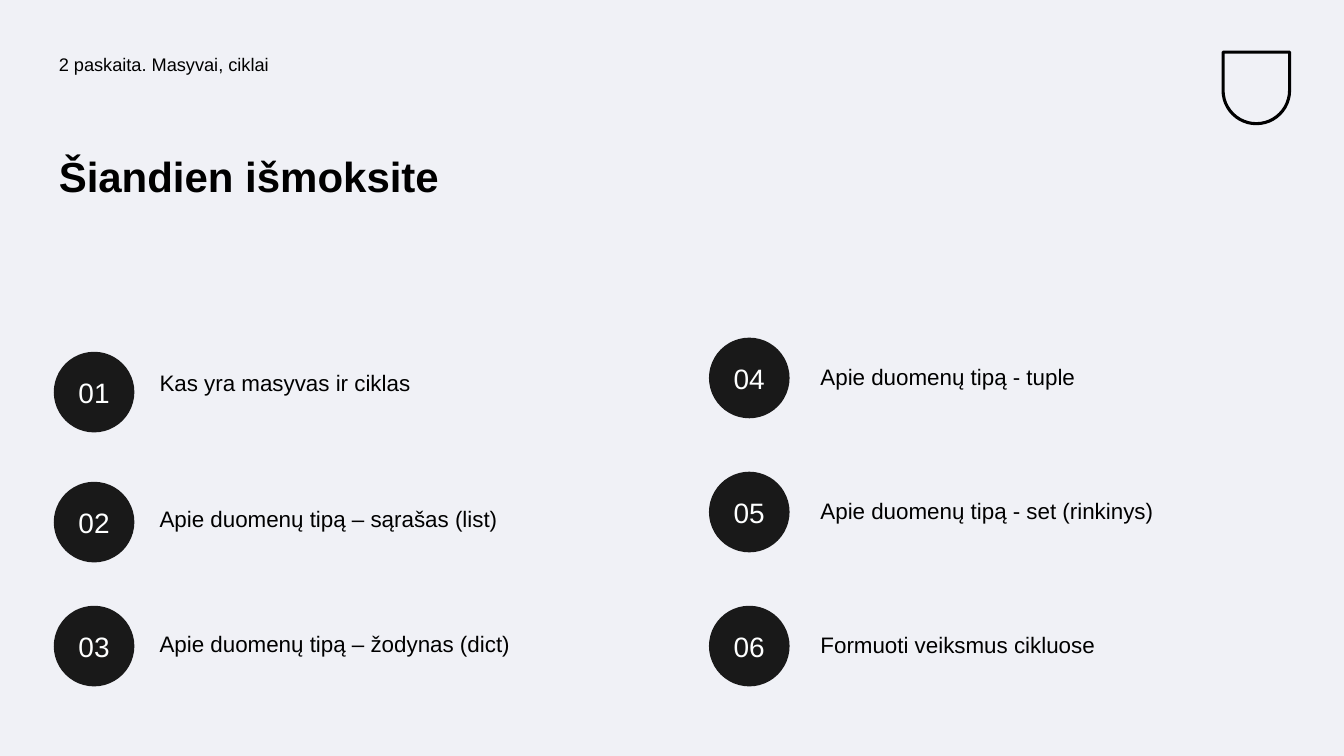
from pptx import Presentation
from pptx.dml.color import RGBColor
from pptx.enum.shapes import MSO_SHAPE
from pptx.enum.text import MSO_ANCHOR, MSO_AUTO_SIZE, PP_ALIGN
from pptx.util import Inches, Pt

PAPER = RGBColor(0xF0, 0xF1, 0xF6)
BLACK = RGBColor(0x00, 0x00, 0x00)
DARK = RGBColor(0x19, 0x19, 0x19)
WHITE = RGBColor(0xFE, 0xFF, 0xFF)

COLS, ROWS = 40, 22.5


class Page:
    """Style and current slide; lengths are in grid columns and rows."""

    font = "Arial"
    inset = Inches(0.05)

    def __init__(self, deck):
        self.col = deck.slide_width / COLS
        self.row = deck.slide_height / ROWS
        self.slide = deck.slides.add_slide(deck.slide_layouts[6])
        fill = self.slide.background.fill
        fill.solid()
        fill.fore_color.rgb = PAPER

    def box(self, x, y, w, h):
        return (round(x * self.col), round(y * self.row),
                round(w * self.col), round(h * self.row))

    def add_run(self, frame, words, size, color, bold=False):
        frame.margin_left = frame.margin_right = self.inset
        frame.margin_top = frame.margin_bottom = self.inset
        para = frame.paragraphs[0]
        run = para.add_run()
        run.text = words
        run.font.name = self.font
        run.font.size = Pt(size)
        run.font.bold = bold
        run.font.color.rgb = color
        return para

    def label(self, x, y, w, h, words, size, bold=False, before=10):
        frame = self.slide.shapes.add_textbox(*self.box(x, y, w, h)).text_frame
        frame.word_wrap = True
        frame.auto_size = MSO_AUTO_SIZE.SHAPE_TO_FIT_TEXT
        para = self.add_run(frame, words, size, BLACK, bold)
        para.line_spacing = 0.9
        para.space_before = Pt(before)

    def disc(self, x, y, size, words):
        shape = self.slide.shapes.add_shape(
            MSO_SHAPE.OVAL, *self.box(x, y, size, size))
        shape.shadow.inherit = False
        shape.fill.solid()
        shape.fill.fore_color.rgb = DARK
        shape.line.fill.background()
        frame = shape.text_frame
        frame.word_wrap = False
        frame.vertical_anchor = MSO_ANCHOR.MIDDLE
        self.add_run(frame, words, 20, WHITE).alignment = PP_ALIGN.CENTER

    def shield(self, x, y, w, h):
        shape = self.slide.shapes.add_shape(
            MSO_SHAPE.ROUND_2_SAME_RECTANGLE, *self.box(x, y, w, h))
        shape.adjustments[0] = 0.5
        shape.rotation = 180
        shape.shadow.inherit = False
        shape.fill.background()
        shape.line.color.rgb = BLACK
        shape.line.width = Pt(2.2)


def main():
    deck = Presentation()
    deck.slide_width, deck.slide_height = Inches(13.33), Inches(7.5)
    page = Page(deck)

    # Header
    page.shield(36.4, 1.55, 1.98, 2.13)
    page.label(1.6, 1.5, 18.4, 0.9, "2 paskaita. Masyvai, ciklai", 13)
    page.label(1.6, 4.5, 16.9, 1.68, "Šiandien išmoksite", 30, True, 0)

    # Topics by column: disc left, label left, then disc top, label top, words
    topics = (
        (1.6, 4.6, (
            (10.47, 10.92, "Kas yra masyvas ir ciklas"),
            (14.34, 14.97, "Apie duomenų tipą – sąrašas (list)"),
            (18.03, 18.69, "Apie duomenų tipą – žodynas (dict)"))),
        (21.1, 24.27, (
            (10.05, 10.74, "Apie duomenų tipą - tuple"),
            (14.04, 14.73, "Apie duomenų tipą - set (rinkinys)"),
            (18.03, 18.72, "Formuoti veiksmus cikluose"))),
    )
    count = 0
    for left, start, items in topics:
        for top, base, words in items:
            count += 1
            page.disc(left, top, 2.4, f"{count:02}")
            page.label(start, base, 13.9, 1.02, words, 16)

    deck.save("out.pptx")


if __name__ == "__main__":
    main()
